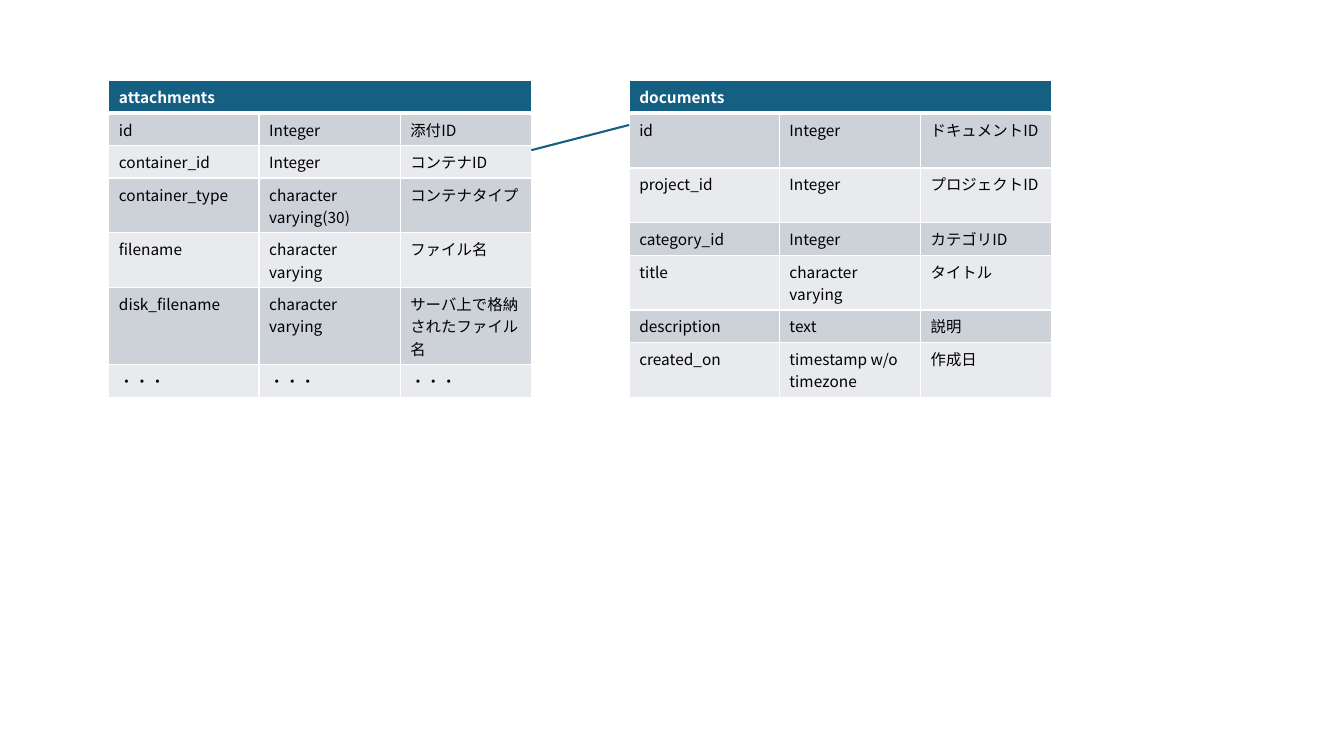
from lxml import etree
from pptx import Presentation
from pptx.dml.color import RGBColor
from pptx.enum.shapes import MSO_CONNECTOR
from pptx.oxml.ns import qn
from pptx.util import Inches, Pt

STRAIGHT = MSO_CONNECTOR.STRAIGHT
FONT = "Noto Sans CJK JP"
FONT_SIZE = 11
COLORS = {
    "header": "156082",
    "band_dark": "CCD2D8",
    "band_light": "E8EAED",
    "white": "FFFFFF",
    "text": "000000",
}
COLUMN_WIDTHS = [1.49, 1.4, 1.3]
ROW_HEIGHT = 0.32
TABLE_TOP = 0.8
ATTACHMENTS_LEFT = 1.08
DOCUMENTS_LEFT = 6.24

ATTACHMENTS = [
    ("id", "Integer", "添付ID"),
    ("container_id", "Integer", "コンテナID"),
    ("container_type", "character varying(30)", "コンテナタイプ"),
    ("filename", "character varying", "ファイル名"),
    ("disk_filename", "character varying", "サーバ上で格納されたファイル名"),
    ("・・・", "・・・", "・・・"),
]
DOCUMENTS = [
    ("id", "Integer", "ドキュメントID"),
    ("project_id", "Integer", "プロジェクトID"),
    ("category_id", "Integer", "カテゴリID"),
    ("title", "character varying", "タイトル"),
    ("description", "text", "説明"),
    ("created_on", "timestamp w/o timezone", "作成日"),
]


def rgb(name):
    return RGBColor.from_string(COLORS[name])


class SchemaSlide:
    """Draws database tables and their relations on one slide."""

    def __init__(self, prs):
        self.slide = prs.slides.add_slide(prs.slide_layouts[6])

    def borders(self, cell, bottom=1):
        tc_pr = cell._tc.get_or_add_tcPr()
        widths = {"a:lnL": 1, "a:lnR": 1, "a:lnT": 1, "a:lnB": bottom}
        for i, (tag, width) in enumerate(widths.items()):
            ln = etree.Element(qn(tag), w=str(Pt(width)))
            fill = etree.SubElement(ln, qn("a:solidFill"))
            etree.SubElement(fill, qn("a:srgbClr"), val=COLORS["white"])
            tc_pr.insert(i, ln)

    def cell(self, cell, text, fill, color="text", bold=False, bottom=1):
        cell.fill.solid()
        cell.fill.fore_color.rgb = rgb(fill)
        self.borders(cell, bottom)
        cell.text_frame.text = text
        for r in cell.text_frame.paragraphs[0].runs:
            r.font.size = Pt(FONT_SIZE)
            r.font.bold = bold
            r.font.color.rgb = rgb(color)
            r.font.name = FONT
            etree.SubElement(r._r.get_or_add_rPr(), qn("a:ea"), typeface=FONT)

    def table(self, left, name, fields):
        """Add a table with a merged title row above its banded field rows."""
        rows = len(fields) + 1
        table = self.slide.shapes.add_table(
            rows, len(COLUMN_WIDTHS), Inches(left), Inches(TABLE_TOP),
            Inches(sum(COLUMN_WIDTHS)), Inches(rows * ROW_HEIGHT)).table
        table.horz_banding = False
        for column, width in zip(table.columns, COLUMN_WIDTHS):
            column.width = Inches(width)
        for row in table.rows:
            row.height = Inches(ROW_HEIGHT)

        table.cell(0, 0).merge(table.cell(0, len(COLUMN_WIDTHS) - 1))
        for col in range(len(COLUMN_WIDTHS)):
            self.cell(table.cell(0, col), "" if col else name, "header",
                      color="white", bold=True, bottom=3)
        for row, field in enumerate(fields, 1):
            band = "band_dark" if row % 2 else "band_light"
            for col, text in enumerate(field):
                self.cell(table.cell(row, col), text, band)

    def relation(self, x1, y1, x2, y2):
        line = self.slide.shapes.add_connector(
            STRAIGHT, Inches(x1), Inches(y1), Inches(x2), Inches(y2))
        line.line.color.rgb = rgb("header")
        line.line.width = Pt(1.5)
        etree.SubElement(line._element.spPr, qn("a:effectLst"))


def main():
    prs = Presentation()
    prs.slide_width, prs.slide_height = Inches(13.33), Inches(7.5)
    s = SchemaSlide(prs)
    s.table(DOCUMENTS_LEFT, "documents", DOCUMENTS)
    s.table(ATTACHMENTS_LEFT, "attachments", ATTACHMENTS)
    s.relation(ATTACHMENTS_LEFT + sum(COLUMN_WIDTHS), 1.49, DOCUMENTS_LEFT, 1.24)
    prs.save("out.pptx")


if __name__ == "__main__":
    main()
